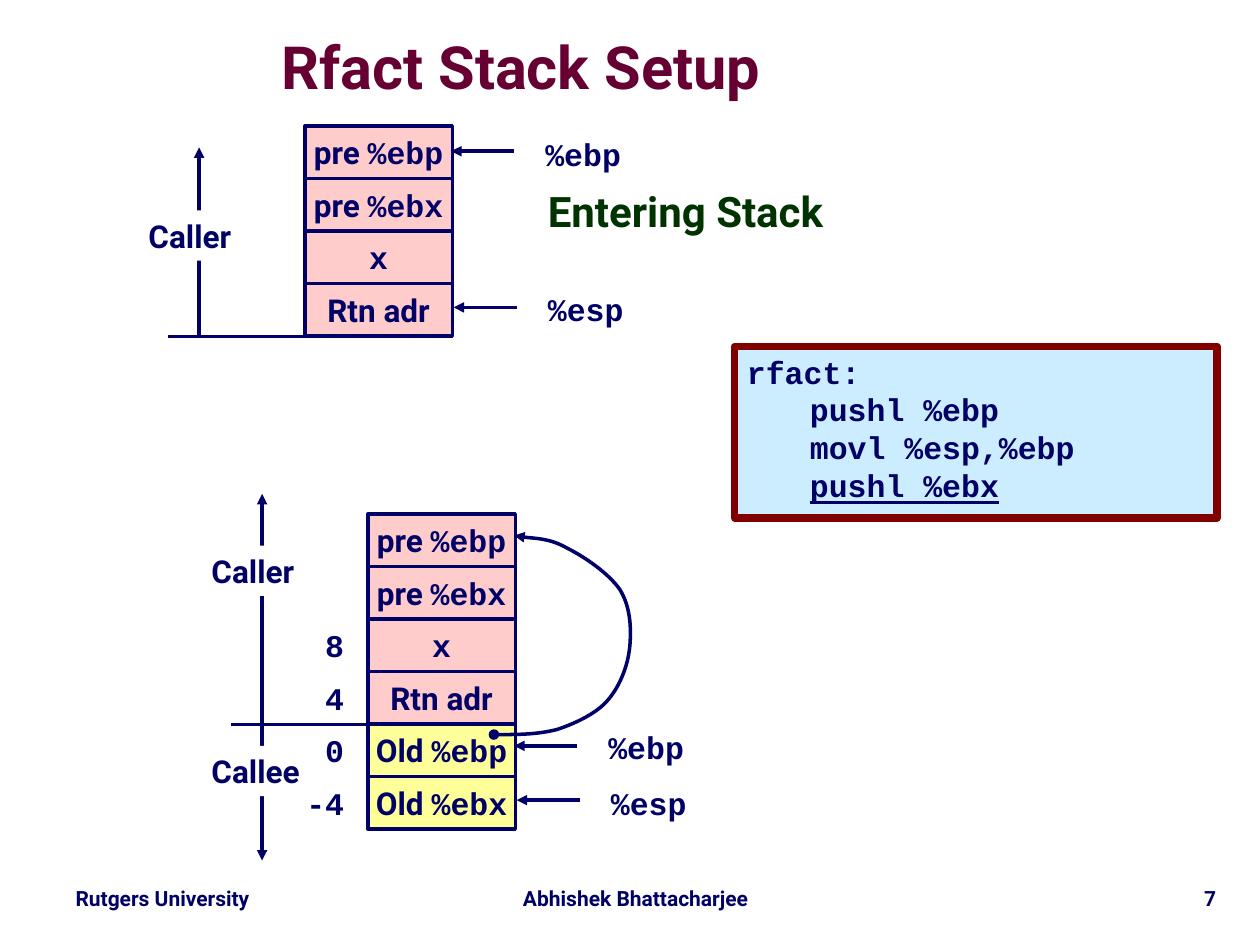
from lxml import etree
from pptx import Presentation
from pptx.dml.color import RGBColor
from pptx.enum import shapes, text
from pptx.oxml import ns
from pptx.util import Inches, Pt

NAVY = RGBColor(0x00, 0x00, 0x66)
PLUM = RGBColor(0x66, 0x00, 0x33)
GREEN = RGBColor(0x00, 0x33, 0x00)
MAROON = RGBColor(0x80, 0x00, 0x00)
PINK = RGBColor(0xFF, 0xCC, 0xCC)
YELLOW = RGBColor(0xFF, 0xFF, 0x99)
SKY = RGBColor(0xCC, 0xEC, 0xFF)
WHITE = RGBColor(0xFF, 0xFF, 0xFF)
SANS, MONO = "Roboto", "Courier New"
LEFT, CENTER, RIGHT = text.PP_ALIGN.LEFT, text.PP_ALIGN.CENTER, text.PP_ALIGN.RIGHT

CELL_WIDTH = 1.17
CELL_HEIGHT = 1.25 / 3

presentation = Presentation()
presentation.slide_width = Inches(10)
presentation.slide_height = Inches(7.5)
slide = presentation.slides.add_slide(presentation.slide_layouts[6])


def add_label(left, top, width, words, font=SANS, size=18, color=NAVY,
              align=LEFT, height=0.4):
    box = slide.shapes.add_textbox(Inches(left), Inches(top), Inches(width), Inches(height))
    box.text_frame.word_wrap = False
    paragraph = box.text_frame.paragraphs[0]
    paragraph.text = words
    paragraph.alignment = align
    paragraph.font.name = font
    paragraph.font.size = Pt(size)
    paragraph.font.bold = True
    paragraph.font.color.rgb = color
    return box


def style_line(shape, head=None, tail=None):
    shape.line.color.rgb = NAVY
    shape.line.width = Pt(2)
    line = shape.line._get_or_add_ln()
    for tag, kind in (("a:headEnd", head), ("a:tailEnd", tail)):
        if kind:
            etree.SubElement(line, ns.qn(tag), type=kind)
    properties = shape._element.spPr
    if properties.find(ns.qn("a:effectLst")) is None:
        etree.SubElement(properties, ns.qn("a:effectLst"))


# Footer
for left, width, words, align in (
    (0.33, 1.92, "Rutgers University", CENTER),
    (3.92, 2.25, "Abhishek Bhattacharjee", CENTER),
    (8.17, 1.58, "7", RIGHT),
):
    footer = add_label(left, 7, width, words, size=12, align=align, height=0.28)
    footer.text_frame.paragraphs[0].line_spacing = 0.9

# Title and heading
title = add_label(1.08, 0.25, 6.11, "Rfact Stack Setup", size=34, color=PLUM,
                  align=CENTER, height=0.63)
frame = title.text_frame
frame.word_wrap = True
frame.vertical_anchor = text.MSO_ANCHOR.MIDDLE
frame.margin_left = frame.margin_right = frame.margin_top = frame.margin_bottom = 0
frame.paragraphs[0].line_spacing = 0.87
add_label(4.25, 1.42, 2.53, "Entering Stack", size=24, color=GREEN, height=0.5)

# Frame boundaries, caller and callee extents, register pointers
for start_x, start_y, end_x, end_y, tail in (
    (2.42, 2.67, 1.33, 2.67, None),
    (2.92, 5.75, 1.83, 5.75, None),
    (1.58, 2.67, 1.58, 1.17, "triangle"),
    (2.08, 5.42, 2.08, 3.92, "triangle"),
    (2.08, 5.33, 2.08, 6.83, "triangle"),
    (4.08, 1.2, 3.58, 1.2, "triangle"),
    (4.1, 2.44, 3.6, 2.44, "triangle"),
    (4.58, 5.92, 4.08, 5.92, "triangle"),
    (4.6, 6.35, 4.1, 6.35, "triangle"),
):
    connector = slide.shapes.add_connector(
        shapes.MSO_CONNECTOR.STRAIGHT,
        Inches(start_x), Inches(start_y), Inches(end_x), Inches(end_y))
    style_line(connector, tail=tail)

# Extent names, which interrupt their arrows
for left, top, width, words in (
    (1.08, 1.67, 0.9, "Caller"),
    (1.58, 4.33, 0.9, "Caller"),
    (1.58, 5.92, 0.94, "Callee"),
):
    extent = add_label(left, top, width, words)
    extent.fill.solid()
    extent.fill.fore_color.rgb = WHITE

# Register names
for left, top, words in (
    (4.23, 1.02, "%ebp"), (4.25, 2.25, "%esp"),
    (4.73, 5.73, "%ebp"), (4.75, 6.17, "%esp"),
):
    add_label(left, top, 0.8, words, font=MONO)

# Stacks: each cell has a plain part and a code part
caller_cells = [("pre ", "%ebp", PINK), ("pre ", "%ebx", PINK),
                ("", "x", PINK), ("Rtn adr", "", PINK)]
callee_cells = [("Old ", "%ebp", YELLOW), ("Old ", "%ebx", YELLOW)]
for left, top, cells in ((2.42, 1, caller_cells),
                         (2.92, 4.08, caller_cells + callee_cells)):
    for row, (plain, code, fill) in enumerate(cells):
        cell = slide.shapes.add_shape(
            shapes.MSO_SHAPE.RECTANGLE, Inches(left), Inches(top + row * CELL_HEIGHT),
            Inches(CELL_WIDTH), Inches(CELL_HEIGHT))
        cell.shadow.inherit = False
        cell.fill.solid()
        cell.fill.fore_color.rgb = fill
        style_line(cell)
        cell.text_frame.word_wrap = False
        cell.text_frame.vertical_anchor = text.MSO_ANCHOR.MIDDLE
        paragraph = cell.text_frame.paragraphs[0]
        paragraph.alignment = CENTER
        paragraph.font.size = Pt(18)
        paragraph.font.bold = True
        paragraph.font.color.rgb = NAVY
        for words, font in ((plain, SANS), (code, MONO)):
            if words:
                run = paragraph.add_run()
                run.text = words
                run.font.name = font
                run.font.color.rgb = NAVY

# Offsets from %ebp
for row, offset in enumerate(("8", "4", "0", "-4")):
    add_label(2.33, 4.92 + row * CELL_HEIGHT, 0.5, offset, font=MONO, align=RIGHT)

# Curved link from the saved %ebp to the caller's frame
curve = [
    (4.09, 5.83), (4.26, 5.83), (4.42, 5.79),
    (4.57, 5.74), (4.74, 5.66), (4.83, 5.55),
    (4.93, 5.43), (4.99, 5.26), (5, 5.11),
    (5.01, 4.97), (5, 4.81), (4.92, 4.68),
    (4.83, 4.55), (4.64, 4.42), (4.5, 4.35),
    (4.36, 4.27), (4.15, 4.27), (4.08, 4.25),
]
builder = slide.shapes.build_freeform(Inches(3.92), Inches(5.83))
builder.add_line_segments([(Inches(x), Inches(y)) for x, y in curve], close=False)
link = builder.convert_to_shape()
link.shadow.inherit = False
link.fill.background()
style_line(link, head="oval", tail="triangle")
# Each three points become one Bezier segment
segments = list(link._element.iter(ns.qn("a:lnTo")))
outline = segments[0].getparent()
for first in range(0, len(segments), 3):
    bezier = etree.SubElement(outline, ns.qn("a:cubicBezTo"))
    for segment in segments[first:first + 3]:
        bezier.append(segment[0])
        outline.remove(segment)

# Code box
code_box = slide.shapes.add_shape(shapes.MSO_SHAPE.RECTANGLE, Inches(5.83), Inches(2.75),
                                  Inches(3.83), Inches(1.36))
code_box.shadow.inherit = False
code_box.fill.solid()
code_box.fill.fore_color.rgb = SKY
code_box.line.color.rgb = MAROON
code_box.line.width = Pt(4.5)
frame = code_box.text_frame
frame.word_wrap = True
frame.vertical_anchor = text.MSO_ANCHOR.TOP
code_lines = (["rfact:"], ["\tpushl %ebp"], ["\tmovl %esp,%ebp"], ["\t", "pushl %ebx"])
for number, parts in enumerate(code_lines):
    paragraph = frame.add_paragraph() if number else frame.paragraphs[0]
    paragraph.alignment = LEFT
    tabs = etree.SubElement(paragraph._p.get_or_add_pPr(), ns.qn("a:tabLst"))
    etree.SubElement(tabs, ns.qn("a:tab"), pos=str(Inches(0.5)), algn="l")
    paragraph.font.name = MONO
    paragraph.font.size = Pt(18)
    paragraph.font.bold = True
    paragraph.font.color.rgb = NAVY
    for part in parts:
        run = paragraph.add_run()
        run.text = part
        run.font.color.rgb = NAVY
run.font.underline = True

presentation.save("out.pptx")
